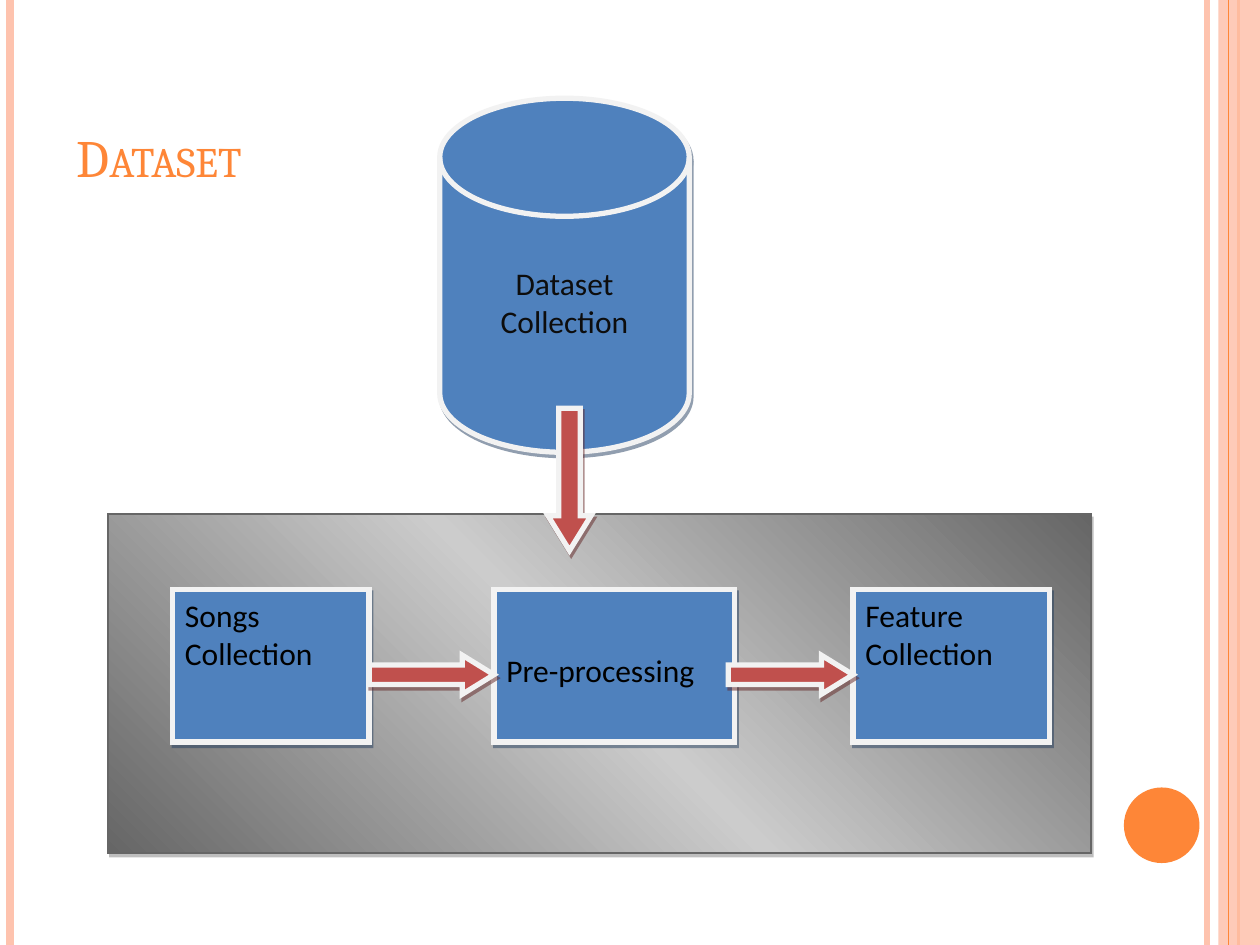
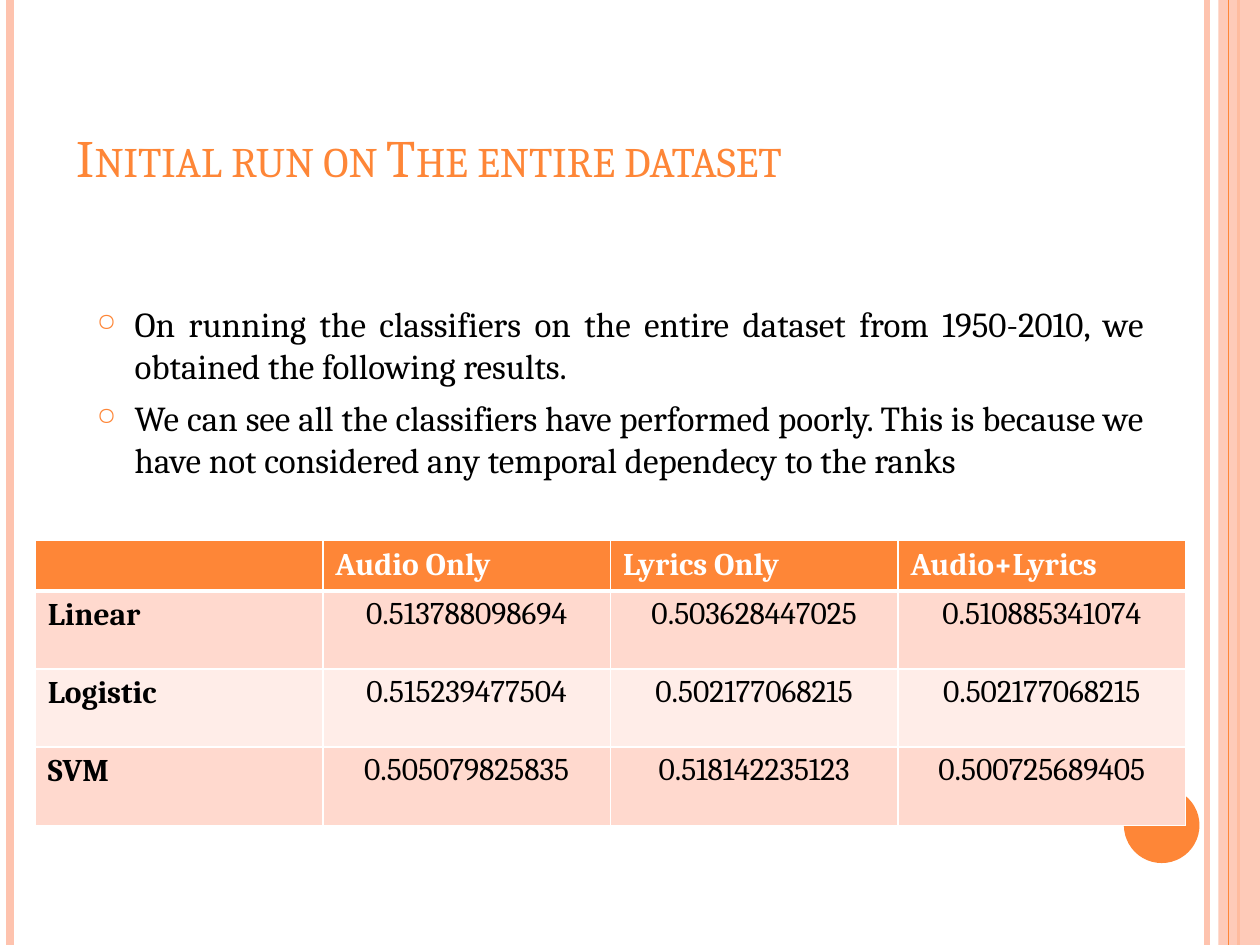
"""Builds two slides: the dataset pipeline and the first classifier results."""
from copy import deepcopy

from lxml import etree
from pptx import Presentation
from pptx.dml.color import RGBColor
from pptx.enum.shapes import MSO_CONNECTOR, MSO_SHAPE
from pptx.enum.text import MSO_ANCHOR, PP_ALIGN
from pptx.oxml.ns import qn
from pptx.util import Inches, Pt

STRAIGHT = MSO_CONNECTOR.STRAIGHT
RECTANGLE, OVAL = MSO_SHAPE.RECTANGLE, MSO_SHAPE.OVAL
DISK = MSO_SHAPE.FLOWCHART_MAGNETIC_DISK
DOWN, RIGHT = MSO_SHAPE.DOWN_ARROW, MSO_SHAPE.RIGHT_ARROW
TOP, BOTTOM = MSO_ANCHOR.TOP, MSO_ANCHOR.BOTTOM
LEFT, CENTER, JUSTIFY = PP_ALIGN.LEFT, PP_ALIGN.CENTER, PP_ALIGN.JUSTIFY

COLORS = {
    "orange": "FE8637", "peach": "FEC3AE", "white": "FFFFFF", "black": "000000",
    "ink": "0D0D0D", "blue": "4F81BD", "blue shade": "243F60", "red": "C0504D",
    "red shade": "622423", "edge": "F2F2F2", "gray": "666666", "silver": "CCCCCC",
    "gray shade": "7F7F7F", "row dark": "FFD9CE", "row light": "FFEDE8",
}
RGB = {name: RGBColor.from_string(value) for name, value in COLORS.items()}


def write(frame, *texts, font="Cambria", size=18, color="black", bold=False, align=LEFT,
          anchor=TOP, top=0.05, spacing=None, small_caps=False, bullet=None):
    frame.word_wrap = True
    frame.vertical_anchor = anchor
    frame.margin_top = Inches(top)
    for index, text in enumerate(texts):
        para = frame.add_paragraph() if index else frame.paragraphs[0]
        para.alignment = align
        para.line_spacing = spacing
        span = para.add_run()
        span.text = text
        span.font.name, span.font.size, span.font.bold = font, Pt(size), bold
        span.font.color.rgb = RGB[color]
        if small_caps:
            span._r.get_or_add_rPr().set("cap", "small")
        if bullet:
            para.space_after = Pt(6)
            marks = para._p.get_or_add_pPr()
            marks.set("marL", str(Inches(0.3)))
            marks.set("indent", str(Inches(-0.3)))
            tint = etree.SubElement(marks, qn("a:buClr"))
            etree.SubElement(tint, qn("a:srgbClr"), val=COLORS["orange"])
            etree.SubElement(marks, qn("a:buSzPct"), val="70000")
            etree.SubElement(marks, qn("a:buChar"), char=bullet)


def draw(page, kind, place, fill, edge=None, weight=3, shade=None, head=None):
    shape = page.shapes.add_shape(kind, *map(Inches, place))
    shape.fill.solid()
    shape.fill.fore_color.rgb = RGB[fill]
    if head:
        shape.adjustments[0], shape.adjustments[1] = 0.5, head
    if edge:
        shape.line.color.rgb = RGB[edge]
        shape.line.width = Pt(weight)
        etree.SubElement(shape.line._ln, qn("a:miter"), lim="800000")
    else:
        shape.line.fill.background()
    shape.shadow.inherit = False
    if shade:
        effects = shape._element.spPr.find(qn("a:effectLst"))
        shadow = etree.SubElement(effects, qn("a:outerShdw"), dist=str(Pt(2.2)),
                                  dir=str(63 * 60000), algn="ctr", rotWithShape="0")
        tint = etree.SubElement(shadow, qn("a:srgbClr"), val=COLORS[shade])
        etree.SubElement(tint, qn("a:alpha"), val="50000")
    return shape


deck = Presentation()
deck.slide_width, deck.slide_height = Inches(10), Inches(7.5)

STRIPES = [(9.58, "peach", 3), (0.08, "peach", 4.5), (9.83, "orange", 1.5),
           "band", (9.75, "orange", 0.75)]
pages = []
for title in ("Dataset", "Initial run on The entire dataset"):
    page = deck.slides.add_slide(deck.slide_layouts[6])
    pages.append(page)
    for stripe in STRIPES:
        if stripe == "band":
            band = draw(page, RECTANGLE, (9.67, 0, 0.33, 7.5), "peach")
            tint = band._element.spPr.find(".//" + qn("a:srgbClr"))
            etree.SubElement(tint, qn("a:alpha"), val="87000")
            continue
        x, color, weight = stripe
        line = page.shapes.add_connector(STRAIGHT, Inches(x), 0, Inches(x), Inches(7.5))
        line.line.color.rgb = RGB[color]
        line.line.width = Pt(weight)
        etree.SubElement(line._element.spPr, qn("a:effectLst"))
    draw(page, OVAL, (8.92, 6.25, 0.6, 0.6), "orange")
    heading = page.shapes.add_textbox(*map(Inches, (0.51, 0.29, 8.17, 1.25)))
    write(heading.text_frame, title, size=30, color="orange", anchor=BOTTOM, small_caps=True)

pipeline, results = pages

panel = draw(pipeline, RECTANGLE, (0.86, 4.08, 7.8, 2.69), "gray", "gray", 1, "gray shade")
panel.fill.gradient()
panel.fill.gradient_angle = 45
for stop in panel.fill.gradient_stops:
    stop.color.rgb = RGB["gray"]
stops = panel._element.spPr.find(".//" + qn("a:gsLst"))
middle = deepcopy(stops[0])
middle.set("pos", "50000")
middle.find(qn("a:srgbClr")).set("val", COLORS["silver"])
stops.insert(1, middle)

store = draw(pipeline, DISK, (3.49, 0.78, 1.98, 2.81), "blue", "edge", shade="blue shade")
write(store.text_frame, "Dataset Collection", font="Calibri", color="ink", align=CENTER, top=0.38)
draw(pipeline, DOWN, (4.35, 3.24, 0.34, 1.13), "red", "edge", shade="red shade", head=0.81)

for label, left, width, top in (("Songs Collection", 1.37, 1.56, 0.05),
                                ("Pre-processing", 3.92, 1.91, 0.49),
                                ("Feature Collection", 6.77, 1.56, 0.05)):
    step = draw(pipeline, RECTANGLE, (left, 4.68, width, 1.21), "blue", "edge", shade="blue shade")
    write(step.text_frame, label, font="Calibri", top=top)
for left in (2.93, 5.78):
    draw(pipeline, RIGHT, (left, 5.2, 0.99, 0.31), "red", "edge", shade="red shade", head=0.81)

body = results.shapes.add_textbox(*map(Inches, (0.67, 1.92, 8.51, 2.15)))
write(body.text_frame,
      "On running the classifiers on the entire dataset from 1950-2010, we obtained the "
      "following results.",
      "We can see all the classifiers have performed poorly. This is because we have not "
      "considered any temporal dependecy to the ranks",
      size=20, align=JUSTIFY, top=0.48, bullet="○")

SCORES = [
    ("", "Audio Only", "Lyrics Only", "Audio+Lyrics"),
    ("Linear", "0.513788098694", "0.503628447025", "0.510885341074"),
    ("Logistic", "0.515239477504", "0.502177068215", "0.502177068215"),
    ("SVM", "0.505079825835", "0.518142235123", "0.500725689405"),
]
table = results.shapes.add_table(4, 4, *map(Inches, (0.28, 4.29, 9.13, 2.26))).table
for row, values in enumerate(SCORES):
    table.rows[row].height = Inches(0.62 if row else 0.4)
    for column, value in enumerate(values):
        cell = table.cell(row, column)
        if row and column:
            cell.margin_left = cell.margin_right = Inches(0.07)
            cell.margin_top = cell.margin_bottom = 0
            write(cell.text_frame, value, align=CENTER, spacing=1.15, top=0)
        elif value:
            write(cell.text_frame, value, bold=True, color="black" if row else "white")
        borders = cell._tc.get_or_add_tcPr()
        for side in ("lnL", "lnR", "lnT", "lnB"):
            thick = (row, side) in ((0, "lnB"), (1, "lnT"))
            border = etree.SubElement(borders, qn("a:" + side), w=str(Pt(3 if thick else 1)))
            paint = etree.SubElement(border, qn("a:solidFill"))
            etree.SubElement(paint, qn("a:srgbClr"), val=COLORS["white"])
        cell.fill.solid()
        cell.fill.fore_color.rgb = RGB[("row light", "row dark")[row % 2] if row else "orange"]

deck.save("out.pptx")
